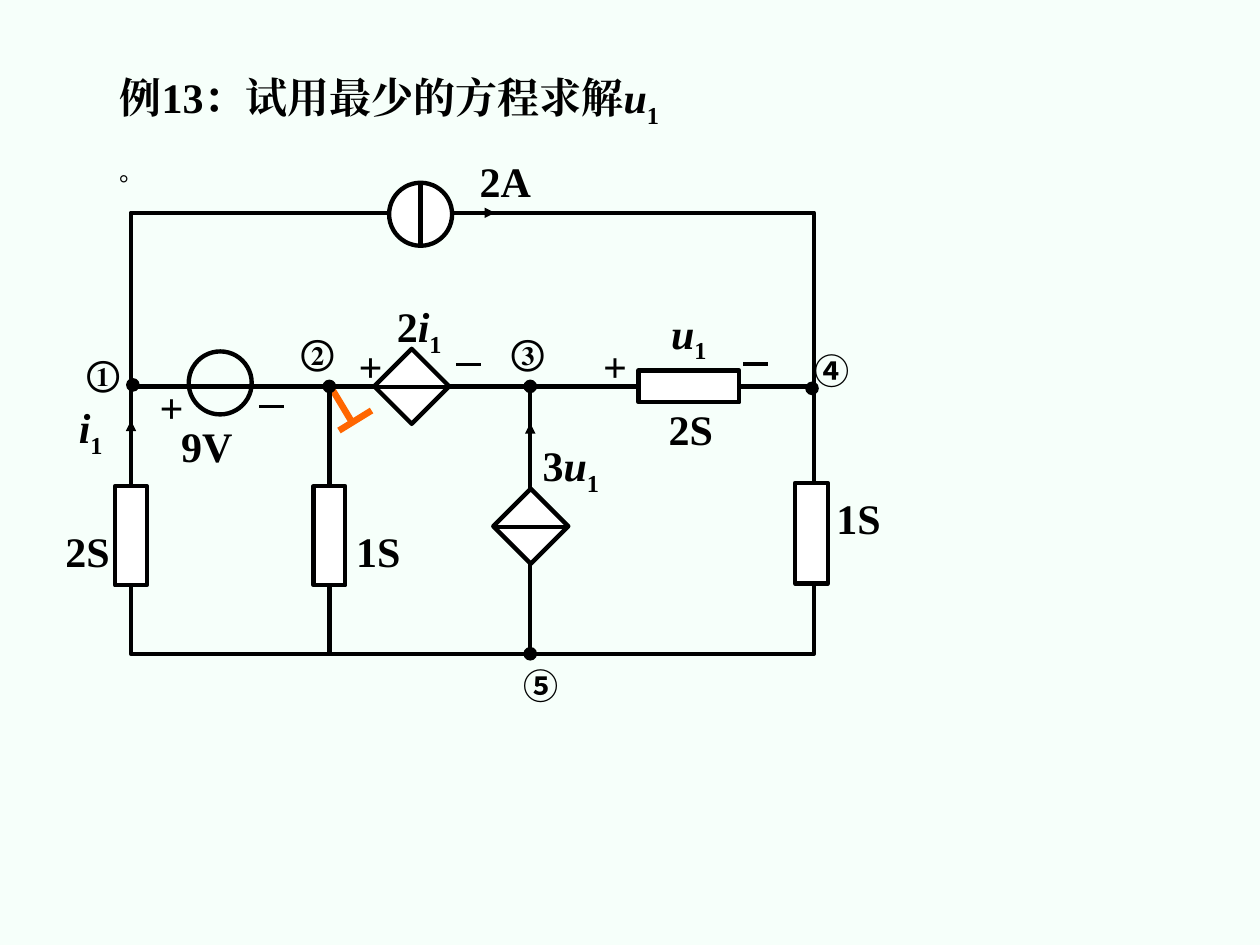
from pptx import Presentation
from pptx.dml.color import RGBColor
from pptx.enum.shapes import MSO_CONNECTOR, MSO_SHAPE as Shape
from pptx.oxml.ns import qn
from pptx.util import Cm, Pt
from lxml import etree

SERIF, CJK, MONO = "Times New Roman", "Noto Sans CJK SC", "Noto Sans Mono"
INK, PAPER, ACCENT, BACK = "000000", "FFFFFF", "FF6600", "F6FFFA"
WIRE = 2.5


def color(hex_text):
    return RGBColor.from_string(hex_text)


def add_line(shapes, x1, y1, x2, y2, width=WIRE, ink=INK, arrow=False):
    line = shapes.add_connector(MSO_CONNECTOR.STRAIGHT, Cm(x1), Cm(y1), Cm(x2), Cm(y2))
    line.line.color.rgb = color(ink)
    line.line.width = Pt(width)
    if arrow:
        etree.SubElement(line.line._get_or_add_ln(), qn("a:tailEnd"), type="triangle")
    etree.SubElement(line._element.spPr, qn("a:effectLst"))
    return line


def add_part(shapes, kind, cx, cy, w, h, fill=PAPER, width=WIRE):
    """Add a shape centred on (cx, cy); a fill of None leaves it open."""
    sp = shapes.add_shape(kind, Cm(cx - w / 2), Cm(cy - h / 2), Cm(w), Cm(h))
    sp.shadow.inherit = False
    if fill:
        sp.fill.solid()
        sp.fill.fore_color.rgb = color(fill)
    else:
        sp.fill.background()
    sp.line.color.rgb = color(INK)
    sp.line.width = Pt(width)
    return sp


def add_text(shapes, x, y, w, h, runs, size=24):
    """Runs are (text, style, font); style "i" is italic, "s" is subscript."""
    tf = shapes.add_textbox(Cm(x), Cm(y), Cm(w), Cm(h)).text_frame
    tf.word_wrap = True
    p = tf.paragraphs[0]
    for text, style, font in runs:
        r = p.add_run()
        r.text = text
        r.font.size = Pt(size)
        r.font.name = font
        r.font.bold = font != MONO
        r.font.italic = style == "i"
        r.font.color.rgb = color(INK)
        rpr = r.font._element
        etree.SubElement(rpr, qn("a:ea"), typeface=font)
        if style == "s":
            rpr.set("baseline", "-25000")


def add_title(shapes, x, y, w, h):
    add_text(shapes, x, y, w, h, [
        ("例13：试用最少的方程求解", "", SERIF), ("u", "i", SERIF),
        ("1 ", "s", SERIF), ("。", "s", MONO)])


def add_ground(shapes, x, y, w, h):
    add_line(shapes, x, y, x + 0.53 * w, y + 0.83 * h, 3.75, ACCENT)
    add_line(shapes, x + 0.19 * w, y + h, x + w, y + 0.53 * h, 3.75, ACCENT)


def add_circuit(shapes, x, y, w, h):
    mid, col2, col3 = y + 3.5, x + 4, x + 8.05

    # Wires
    add_part(shapes, Shape.RECTANGLE, x + w / 2, y + h / 2, w, h, None)
    add_line(shapes, x, mid, x + w, mid)
    for col in (col2, col3):
        add_line(shapes, col, mid, col, y + h)

    # Resistors
    left_resistor = add_part(shapes, Shape.RECTANGLE, x, y + 6.51, 0.64, 2)
    for cx, cy, rw, rh in ((col2, y + 6.51, 0.64, 2),
                           (x + 13.72, y + 6.46, 0.66, 2.03),
                           (x + 11.25, mid, 2.03, 0.64)):
        add_part(shapes, Shape.RECTANGLE, cx, cy, rw, rh)

    # Independent sources
    add_part(shapes, Shape.OVAL, x + 5.84, y + 0.03, 1.27, 1.27)
    add_line(shapes, x + 5.84, y - 0.61, x + 5.84, y + 0.69)
    add_part(shapes, Shape.OVAL, x + 1.8, mid - 0.07, 1.27, 1.27, None)

    # Controlled sources
    for cx, cy in ((x + 5.66, mid), (col3 + 0.01, y + 6.32)):
        add_part(shapes, Shape.RECTANGLE, cx, cy, 1.07, 1.07).rotation = 45
        add_line(shapes, cx - 0.72, cy + 0.01, cx + 0.76, cy + 0.01)

    # Current directions
    current = add_line(shapes, x, y + 5.51, x, y + 4.19, 1.5, arrow=True)
    current.begin_connect(left_resistor, 0)
    add_line(shapes, x + 6.5, y, x + 7.34, y, 1.5, arrow=True)
    add_line(shapes, col3, y + 5.08, col3, y + 4.24, 1.5, arrow=True)

    # Nodes
    for cx, cy in ((x + 0.04, mid - 0.03), (col2, mid), (col3, mid),
                   (x + 13.73, mid + 0.04), (col3, y + h)):
        add_part(shapes, Shape.OVAL, cx, cy, 0.23, 0.23, INK, 1.25)
    for text, dx, dy, font in (("①", -1.14, 2.67, SERIF), ("②", 3.18, 2.24, SERIF),
                               ("③", 7.42, 2.24, SERIF), ("④", 13.54, 2.64, CJK),
                               ("⑤", 7.67, 8.99, CJK)):
        add_text(shapes, x + dx, y + dy, 1.57, 1.12, [(text, "", font)], 20)

    # Polarity marks
    for dx, dy in ((0.33, 3.28), (4.34, 2.44), (9.27, 2.44)):
        add_text(shapes, x + dx, y + dy, 1.27, 1.27, [("+", "", SERIF)])
    for dx, dy in ((2.58, 3.91), (6.55, 3.06), (12.34, 3.05)):
        add_line(shapes, x + dx, y + dy, x + dx + 0.51, y + dy, 2)

    # Values: number, then variable with subscript 1
    for number, variable, dx, dy in (
            ("2S", "", -1.57, 6.17), ("1S", "", 4.29, 6.17), ("1S", "", 13.97, 5.51),
            ("2S", "", 10.59, 3.71), ("9V", "", 0.76, 4.06), ("2A", "", 6.78, -1.27),
            ("", "i", -1.3, 3.68), ("2", "i", 5.11, 1.65),
            ("", "u", 10.64, 1.78), ("3", "u", 8.05, 4.45)):
        runs = [(number, "", SERIF)] if number else []
        if variable:
            runs += [(variable, "i", SERIF), ("1", "s", SERIF)]
        add_text(shapes, x + dx, y + dy, 1.85, 1.27, runs)


prs = Presentation()
prs.slide_width, prs.slide_height = Cm(25.4), Cm(19.05)
slide = prs.slides.add_slide(prs.slide_layouts[6])
slide.background.fill.solid()
slide.background.fill.fore_color.rgb = color(BACK)
add_ground(slide.shapes.add_group_shape().shapes, 6.68, 7.82, 0.81, 0.86)
circuit = slide.shapes.add_group_shape().shapes
add_circuit(circuit, 2.64, 4.29, 13.77, 8.89)
add_title(circuit, 2.16, 1.32, 11.43, 1.42)
prs.save("out.pptx")
